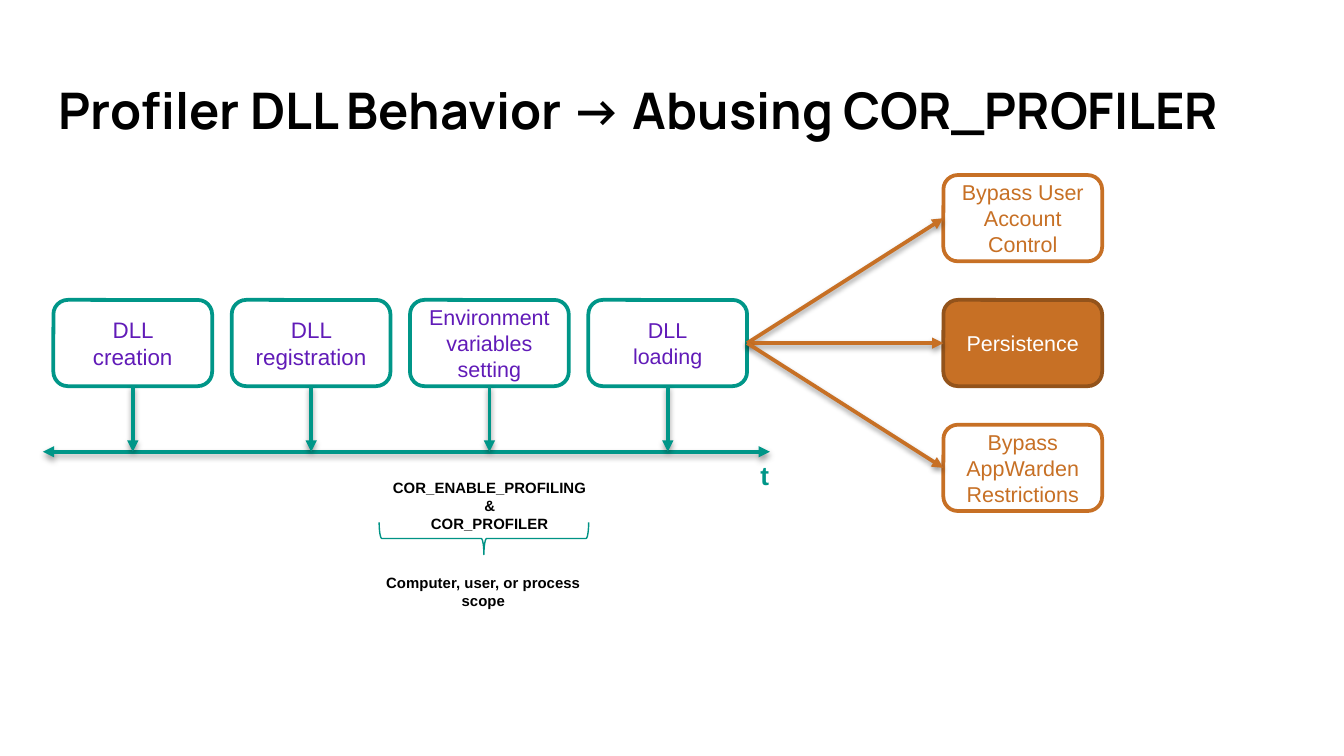
from lxml import etree
from pptx import Presentation
from pptx.dml.color import RGBColor
from pptx.enum.shapes import MSO_CONNECTOR, MSO_SHAPE
from pptx.enum.text import MSO_ANCHOR, MSO_AUTO_SIZE, PP_ALIGN
from pptx.oxml import parse_xml
from pptx.oxml.ns import nsdecls, qn
from pptx.util import Cm, Pt

ROUND, BRACE = MSO_SHAPE.ROUNDED_RECTANGLE, MSO_SHAPE.RIGHT_BRACE
LINE = MSO_CONNECTOR.STRAIGHT
MID, TOP = MSO_ANCHOR.MIDDLE, MSO_ANCHOR.TOP
GROW, FIXED = MSO_AUTO_SIZE.SHAPE_TO_FIT_TEXT, MSO_AUTO_SIZE.NONE
LEFT, CENTER = PP_ALIGN.LEFT, PP_ALIGN.CENTER
hue = RGBColor.from_string

TEAL, VIOLET, ORANGE = "009688", "611BB8", "C77025"
WHITE, BLACK, BROWN = "FFFFFF", "000000", "93531B"
SHADOW = (
    f'<a:effectLst {nsdecls("a")}>'
    '<a:outerShdw blurRad="39370" dist="20320" dir="5400000" rotWithShape="0">'
    '<a:srgbClr val="000000"><a:alpha val="38000"/></a:srgbClr>'
    '</a:outerShdw></a:effectLst>'
)

deck = Presentation()
deck.slide_width, deck.slide_height = Cm(25.4), Cm(14.29)
slide = deck.slides.add_slide(deck.slide_layouts[6])
shapes = slide.shapes


def write(shape, text, color, align, frame, font):
    body = shape.text_frame
    for key, value in frame.items():
        setattr(body, key, value)
    para = body.paragraphs[0]
    para.text = text
    para.alignment = align
    run_font = para.font
    for key, value in font.items():
        setattr(run_font, key, value)
    run_font.color.rgb = hue(color)


def arrow(start, end, color, ends=("tailEnd",)):
    link = shapes.add_connector(LINE, *map(Cm, start + end))
    link.line.color.rgb = hue(color)
    link.line.width = Pt(2)
    stroke = link.line._get_or_add_ln()
    for name in ends:
        etree.SubElement(stroke, qn("a:" + name), type="triangle")
    link._element.spPr.append(parse_xml(SHADOW))


WIDE, HIGH = 3, 1.63
STEP, RISE = 3.37, 2.36
ROW, AXIS = 5.67, 8.54
FIRST, LAST = 1.01, 17.83
CENTRE = ROW + HIGH / 2

inset = {"margin_left": Cm(0.25), "margin_right": Cm(0.25),
         "margin_top": Cm(0.25), "margin_bottom": Cm(0.25)}
note = {"margin_left": 0, "margin_right": 0, "word_wrap": True, "auto_size": GROW}
small = {"name": "Arial", "size": Pt(8), "bold": True}
labels = [
    ("Profiler DLL Behavior → Abusing COR_PROFILER", (0.86, 1.24, 23.67, 1.73),
     BLACK, LEFT, {**inset, "word_wrap": True, "auto_size": FIXED, "vertical_anchor": TOP},
     {"name": "Manrope", "size": Pt(27), "bold": True}),
    ("t", (14.12, 8.56, 0.69, 0.86), TEAL, LEFT,
     {"word_wrap": False, "auto_size": GROW},
     {"name": "Arial", "size": Pt(14), "bold": True}),
    ("COR_ENABLE_PROFILING\v&\vCOR_PROFILER", (7.16, 8.92, 4.19, 1.27),
     BLACK, CENTER, note, small),
    ("Computer, user, or process scope", (7.04, 10.72, 4.19, 0.94),
     BLACK, CENTER, note, small),
]
for text, place, color, align, frame, font in labels:
    box = shapes.add_textbox(*map(Cm, place))
    write(box, text, color, align, frame, font)

arrow((0.81, AXIS), (14.55, AXIS), TEAL, ("headEnd", "tailEnd"))

brace = shapes.add_shape(BRACE, Cm(8.84), Cm(8.2), Cm(0.61), Cm(3.96))
brace.rotation = 90
brace.shadow.inherit = False
brace.fill.background()
brace.line.color.rgb = hue("009385")
brace.line.width = Pt(0.75)

stages = [("DLL creation", 12), ("DLL registration", 12),
          ("Environment variables setting", 11.5), ("DLL\vloading", 11.5)]
goals = [("Bypass User Account Control", WHITE, ORANGE, ORANGE),
         ("Persistence", ORANGE, BROWN, WHITE),
         ("Bypass AppWarden Restrictions", WHITE, ORANGE, ORANGE)]
cards = [(text, FIRST + i * STEP, ROW, WHITE, TEAL, VIOLET, size)
         for i, (text, size) in enumerate(stages)]
cards += [(text, LAST, ROW + (i - 1) * RISE, *colors, 11.5)
          for i, (text, *colors) in enumerate(goals)]
for text, x, y, fill, edge, color, size in cards:
    card = shapes.add_shape(ROUND, Cm(x), Cm(y), Cm(WIDE), Cm(HIGH))
    card.shadow.inherit = False
    card.fill.solid()
    card.fill.fore_color.rgb = hue(fill)
    card.line.color.rgb = hue(edge)
    card.line.width = Pt(2)
    write(card, text, color, CENTER, {"word_wrap": True, "vertical_anchor": MID},
          {"name": "Arial", "size": Pt(size)})

for i in range(len(stages)):
    x = FIRST + i * STEP + WIDE / 2
    arrow((x, ROW + HIGH), (x, AXIS), TEAL)

source = (FIRST + 3 * STEP + WIDE, CENTRE)
for i in range(len(goals)):
    arrow(source, (LAST, CENTRE + (i - 1) * RISE), ORANGE)

deck.save("out.pptx")
